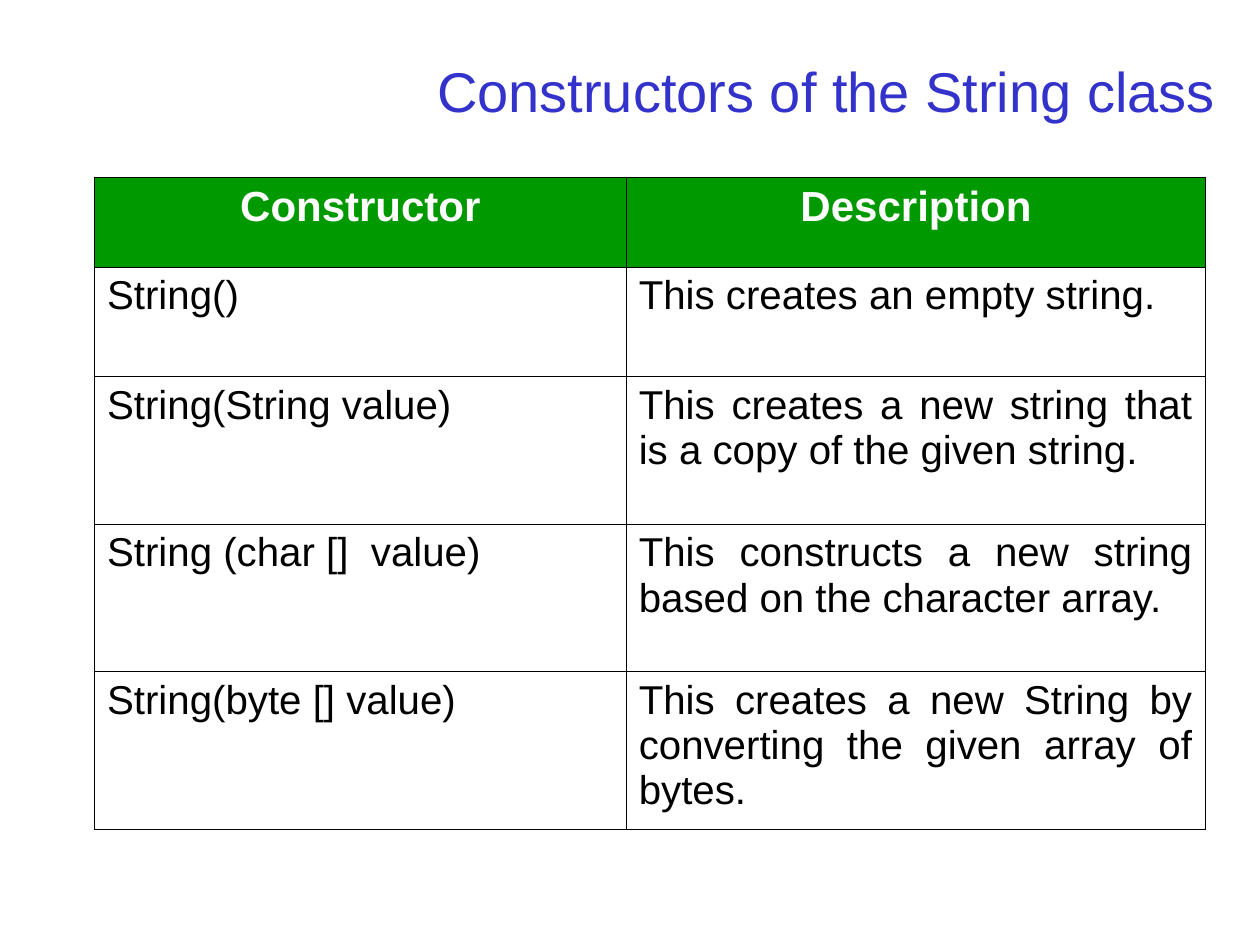
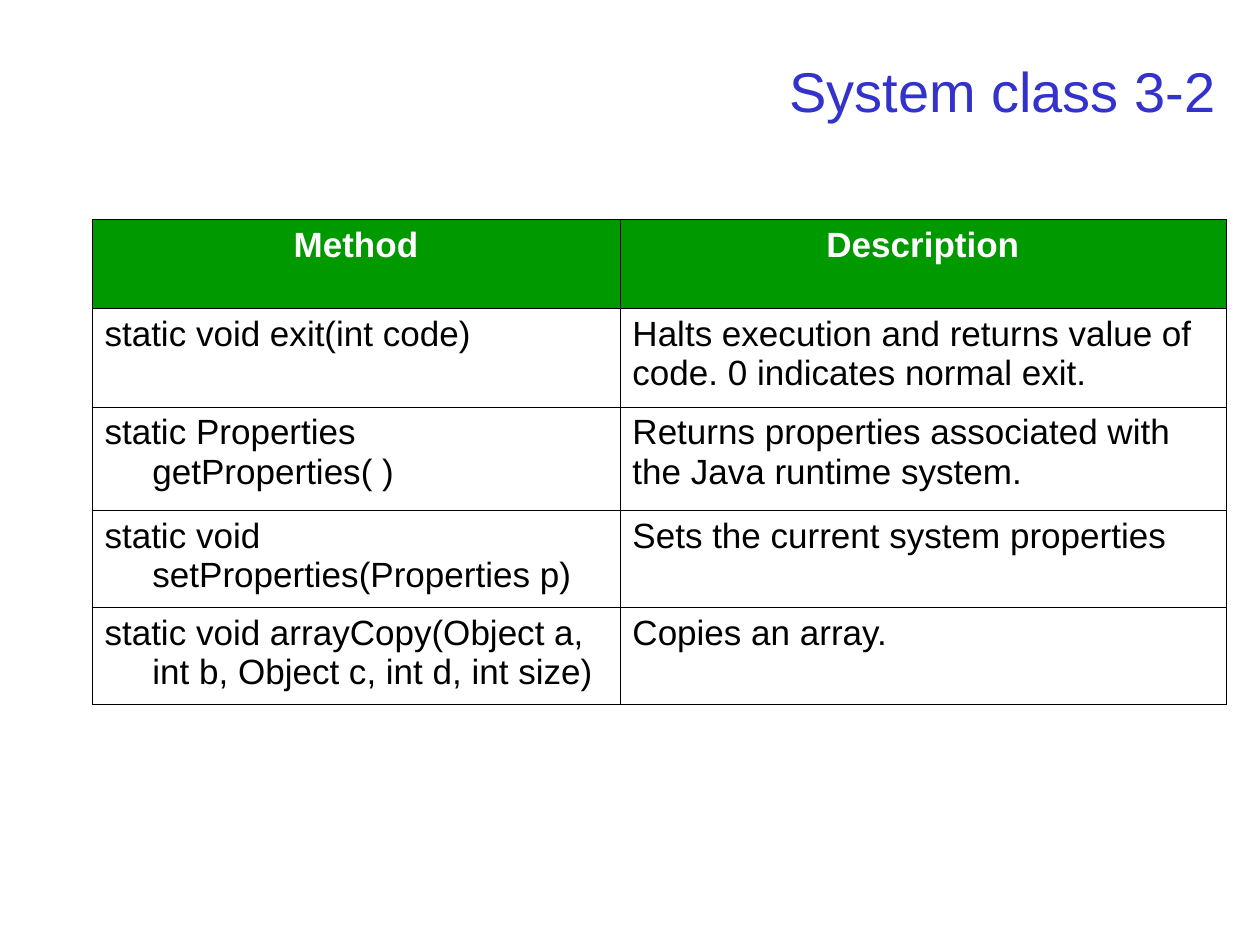
from dataclasses import dataclass

from lxml.etree import SubElement
from pptx import Presentation
from pptx.dml.color import RGBColor
from pptx.enum.text import MSO_ANCHOR, PP_ALIGN
from pptx.oxml.ns import qn
from pptx.util import Inches, Pt


@dataclass(frozen=True)
class Theme:
    """Colours and type sizes that the slides share."""
    font: str = "Arial"
    title_color: str = "3333CC"
    header_fill: str = "009900"
    header_color: str = "FFFFFF"
    text_color: str = "000000"
    border_color: str = "000000"
    border_width: float = 0.45
    title_size: int = 32


@dataclass(frozen=True)
class TableStyle:
    """Type sizes, body alignment and hanging indent of one table."""
    header_size: int
    body_size: int
    alignment: PP_ALIGN
    hanging: float = 0


THEME = Theme()
CONSTRUCTOR_STYLE = TableStyle(24, 23, PP_ALIGN.JUSTIFY)
METHOD_STYLE = TableStyle(20, 20, PP_ALIGN.LEFT, 0.38)

CONSTRUCTORS = [
    ("Constructor", "Description"),
    ("String()", "This creates an empty string."),
    ("String(String value)",
     "This creates a new string that is a copy of the given string."),
    ("String (char []  value)",
     "This constructs a new string based on the character array."),
    ("String(byte [] value)",
     "This creates a new String by converting the given array of bytes."),
]

METHODS = [
    ("Method", "Description"),
    ("static void exit(int code)",
     "Halts execution and returns value of\ncode. 0 indicates normal exit."),
    ("static Properties getProperties( )",
     "Returns properties associated with\nthe Java runtime system."),
    ("static void setProperties(Properties p)",
     "Sets the current system properties"),
    ("static void arrayCopy(Object a, int b, Object c, int d, int size)",
     "Copies an array."),
]


def format_text(text_frame, size, color, alignment, bold=False, hanging=0):
    """Apply type, alignment and hanging indent to every paragraph."""
    for paragraph in text_frame.paragraphs:
        paragraph.alignment = alignment
        if hanging:
            properties = paragraph._p.get_or_add_pPr()
            properties.set("marL", str(Inches(hanging)))
            properties.set("indent", str(Inches(-hanging)))
        for run in paragraph.runs:
            run.font.name = THEME.font
            run.font.size = Pt(size)
            run.font.bold = bold
            run.font.color.rgb = RGBColor.from_string(color)


def add_title(slide, text):
    """Add the right-aligned slide title."""
    shape = slide.shapes.add_textbox(
        Inches(0.75), Inches(0.28), Inches(9), Inches(0.87))
    text_frame = shape.text_frame
    text_frame.word_wrap = True
    text_frame.vertical_anchor = MSO_ANCHOR.MIDDLE
    text_frame.text = text
    format_text(text_frame, THEME.title_size, THEME.title_color, PP_ALIGN.RIGHT)


def add_borders(cell):
    """Draw a thin line on all four sides of a cell."""
    properties = cell._tc.get_or_add_tcPr()
    for side in ("a:lnL", "a:lnR", "a:lnT", "a:lnB"):
        line = SubElement(properties, qn(side), w=str(Pt(THEME.border_width)))
        fill = SubElement(line, qn("a:solidFill"))
        SubElement(fill, qn("a:srgbClr"), val=THEME.border_color)


def fill_cell(cell, text, style, is_header):
    """Write and style one table cell."""
    cell.text_frame.text = text
    add_borders(cell)
    if is_header:
        cell.fill.solid()
        cell.fill.fore_color.rgb = RGBColor.from_string(THEME.header_fill)
        format_text(cell.text_frame, style.header_size, THEME.header_color,
                    PP_ALIGN.CENTER, True, style.hanging)
    else:
        cell.fill.background()
        format_text(cell.text_frame, style.body_size, THEME.text_color,
                    style.alignment, False, style.hanging)


def add_grid(slide, left, top, widths, heights, rows, style):
    """Add a bordered table with a coloured header row."""
    table = slide.shapes.add_table(
        len(rows), len(widths), Inches(left), Inches(top),
        Inches(sum(widths)), Inches(sum(heights))).table
    table.horz_banding = False
    for column, width in zip(table.columns, widths):
        column.width = Inches(width)
    for row, height in zip(table.rows, heights):
        row.height = Inches(height)
    for row_index, texts in enumerate(rows):
        for column_index, text in enumerate(texts):
            fill_cell(table.cell(row_index, column_index), text, style,
                      row_index == 0)


def add_table_slide(presentation, title, *grid):
    """Add a blank slide holding a title and a table."""
    slide = presentation.slides.add_slide(presentation.slide_layouts[6])
    add_title(slide, title)
    add_grid(slide, *grid)


def main():
    """Build and save the presentation."""
    presentation = Presentation()
    presentation.slide_width = Inches(10)
    presentation.slide_height = Inches(7.5)
    add_table_slide(presentation, "Constructors of the String class",
                    0.75, 1.41, (4.22, 4.6), (0.71, 0.87, 1.17, 1.17, 1.25),
                    CONSTRUCTORS, CONSTRUCTOR_STYLE)
    add_table_slide(presentation, "System class 3-2",
                    0.73, 1.74, (4.19, 4.81), (0.71, 0.78, 0.82, 0.77, 0.77),
                    METHODS, METHOD_STYLE)
    presentation.save("out.pptx")


if __name__ == "__main__":
    main()
